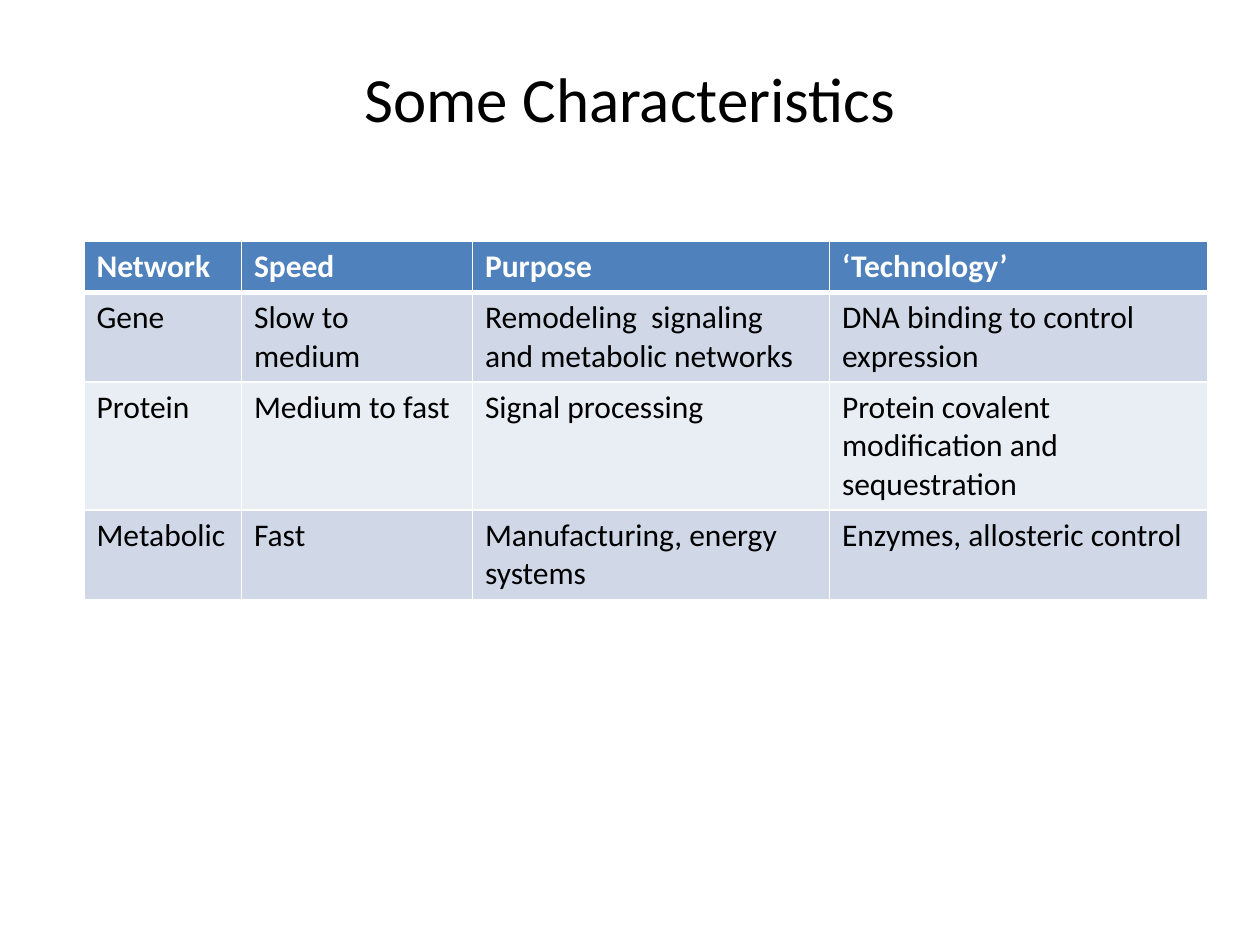
from lxml import etree
from pptx import Presentation
from pptx.dml.color import RGBColor
from pptx.enum.text import MSO_ANCHOR, PP_ALIGN
from pptx.oxml.ns import qn
from pptx.util import Pt

CENTER = PP_ALIGN.CENTER
MIDDLE = MSO_ANCHOR.MIDDLE
TITLE_ONLY = 5

FONT = "Calibri"
BLACK, WHITE = "000000", "FFFFFF"
HEADER_FILL = "4F81BD"
BAND_FILLS = ("D0D8E8", "E9EDF4")

COLUMN_WIDTHS = (90, 132, 204, 216)
ROW_HEIGHT = 29.2
ROWS = (
    ("Network", "Speed", "Purpose", "‘Technology’"),
    ("Gene", "Slow to medium", "Remodeling  signaling and metabolic networks",
     "DNA binding to control expression"),
    ("Protein", "Medium to fast", "Signal processing",
     "Protein covalent modification and sequestration"),
    ("Metabolic", "Fast", "Manufacturing, energy systems",
     "Enzymes, allosteric control"),
)


def rgb(value):
    return RGBColor.from_string(value)


def format_runs(text_frame, size, color, bold=False):
    for paragraph in text_frame.paragraphs:
        for run in paragraph.runs:
            run.font.name = FONT
            run.font.size = Pt(size)
            run.font.bold = bold
            run.font.color.rgb = rgb(color)


def set_borders(cell, color, widths):
    """Draw cell borders; widths maps side letters L, R, T, B to points."""
    properties = cell._tc.get_or_add_tcPr()
    for side, width in widths.items():
        line = etree.SubElement(properties, qn(f"a:ln{side}"), w=str(Pt(width)))
        fill = etree.SubElement(line, qn("a:solidFill"))
        etree.SubElement(fill, qn("a:srgbClr"), val=color)


def add_title(slide, text, left, top, width, height):
    title = slide.shapes.title
    title.left, title.top = Pt(left), Pt(top)
    title.width, title.height = Pt(width), Pt(height)
    text_frame = title.text_frame
    text_frame.text = text
    text_frame.vertical_anchor = MIDDLE
    text_frame.paragraphs[0].alignment = CENTER
    format_runs(text_frame, 36, BLACK)


def add_network_table(slide, left, top):
    frame = slide.shapes.add_table(
        len(ROWS), len(COLUMN_WIDTHS), Pt(left), Pt(top),
        Pt(sum(COLUMN_WIDTHS)), Pt(ROW_HEIGHT * len(ROWS)))
    table = frame.table
    for column, width in zip(table.columns, COLUMN_WIDTHS):
        column.width = Pt(width)
    for row_index, texts in enumerate(ROWS):
        is_header = row_index == 0
        fill = HEADER_FILL if is_header else BAND_FILLS[(row_index - 1) % 2]
        for column_index, text in enumerate(texts):
            cell = table.cell(row_index, column_index)
            cell.text_frame.text = text
            format_runs(cell.text_frame, 18, WHITE if is_header else BLACK, is_header)
            set_borders(cell, WHITE, {
                "L": 1, "R": 1,
                "T": 3 if row_index == 1 else 1,
                "B": 3 if is_header else 1,
            })
            cell.fill.solid()
            cell.fill.fore_color.rgb = rgb(fill)


def main():
    presentation = Presentation()
    presentation.slide_width, presentation.slide_height = Pt(720), Pt(540)
    slide = presentation.slides.add_slide(presentation.slide_layouts[TITLE_ONLY])
    add_title(slide, "Some Characteristics", 36, 21.6, 648, 68.4)
    add_network_table(slide, 48, 138)
    presentation.save("out.pptx")


if __name__ == "__main__":
    main()
